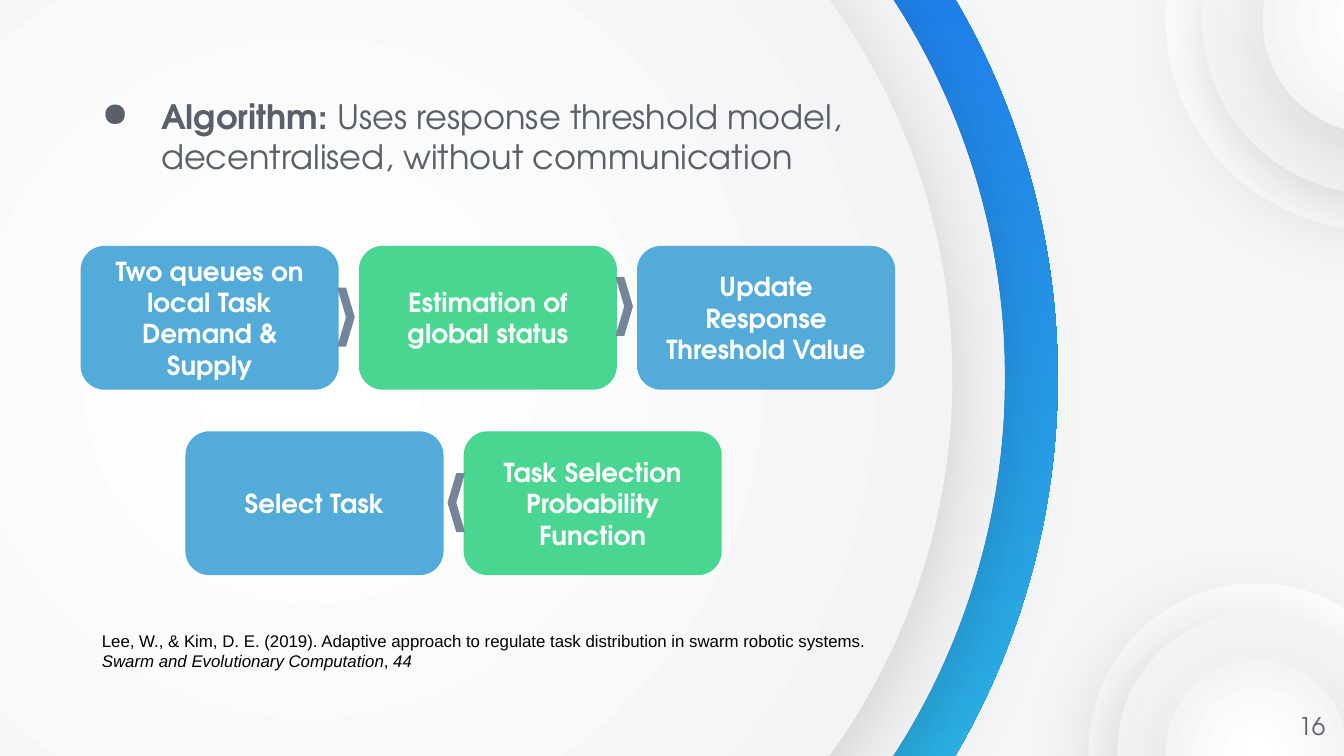
"""Builds the slide on the response threshold algorithm for task selection."""
from lxml import etree
from pptx import Presentation
from pptx.dml.color import RGBColor
from pptx.enum.shapes import MSO_SHAPE
from pptx.enum.text import MSO_ANCHOR, PP_ALIGN
from pptx.oxml import parse_xml
from pptx.oxml.ns import nsdecls, qn
from pptx.util import Pt

ELLIPSE, BOX, CHEVRON = MSO_SHAPE.OVAL, MSO_SHAPE.ROUNDED_RECTANGLE, MSO_SHAPE.CHEVRON
TOP, MIDDLE = MSO_ANCHOR.TOP, MSO_ANCHOR.MIDDLE
LEFT, CENTER, RIGHT = PP_ALIGN.LEFT, PP_ALIGN.CENTER, PP_ALIGN.RIGHT

PX = 9144
DISPLAY, PLAIN = "TeX Gyre Adventor", "Arial"
WHITE, BLACK, GRAY, SLATE = "FFFFFF", "000000", "595F6B", "73849B"
BLUE, GREEN, PAPER = "52ABD9", "49D691", "F5F6F8"
RADIAL = '<a:path path="circle"><a:fillToRect l="50000" t="50000" r="50000" b="50000"/></a:path>'
DIAGONAL = '<a:lin ang="2700000" scaled="0"/>'


def px(length):
    return int(length * PX)


def color(value):
    return RGBColor.from_string(value)


class SlideBuilder:
    def __init__(self, slide):
        self.slide = slide
        background = slide.background.fill
        background.solid()
        background.fore_color.rgb = color(PAPER)

    def shape(self, kind, left, top, width, height, fill, rotation=0):
        shape = self.slide.shapes.add_shape(kind, px(left), px(top), px(width), px(height))
        shape.fill.solid()
        shape.fill.fore_color.rgb = color(fill)
        shape.line.fill.background()
        shape.shadow.inherit = False
        shape.rotation = rotation
        return shape

    def disc(self, center, diameter, fill=WHITE, rotation=0):
        left, top = (middle - diameter / 2 for middle in center)
        return self.shape(ELLIPSE, left, top, diameter, diameter, fill, rotation)

    def gradient(self, shape, start, end, direction):
        properties = shape._element.spPr
        properties.replace(properties.find(qn("a:solidFill")), parse_xml(
            f'<a:gradFill {nsdecls("a")} rotWithShape="1"><a:gsLst>'
            f'<a:gs pos="0"><a:srgbClr val="{start}"/></a:gs>'
            f'<a:gs pos="100000"><a:srgbClr val="{end}"/></a:gs>'
            f'</a:gsLst>{direction}</a:gradFill>'))

    def raised_disc(self, center, diameter, shadow_angle=85):
        disc = self.disc(center, diameter)
        self.gradient(disc, WHITE, "F0F0F3", RADIAL)
        disc._element.spPr.find(qn("a:effectLst")).append(parse_xml(
            f'<a:outerShdw {nsdecls("a")} blurRad="{Pt(45)}" dist="{Pt(11.2)}" '
            f'dir="{shadow_angle * 60000}" algn="bl" rotWithShape="0">'
            f'<a:srgbClr val="{BLACK}"><a:alpha val="15000"/></a:srgbClr></a:outerShdw>'))

    def fill_text(self, shape, runs, size, ink, font=DISPLAY, align=LEFT, anchor=TOP, bold=None):
        frame = shape.text_frame
        frame.word_wrap = True
        frame.vertical_anchor = anchor
        frame.margin_left = frame.margin_right = frame.margin_top = frame.margin_bottom = px(10)
        paragraph = frame.paragraphs[0]
        paragraph.alignment = align
        paragraph.font.size = Pt(size)
        paragraph.font.name = font
        paragraph.font.bold = bold
        paragraph.font.color.rgb = color(ink)
        for words, emphasis in runs:
            run = paragraph.add_run()
            run.text = words
            run.font.bold = True if emphasis == "bold" else None
            run.font.italic = True if emphasis == "italic" else None
        return paragraph

    def text(self, left, top, width, height, runs, size, ink, **style):
        box = self.slide.shapes.add_textbox(px(left), px(top), px(width), px(height))
        return self.fill_text(box, runs, size, ink, **style)

    def bullet(self, paragraph, ink):
        properties = paragraph._p.get_or_add_pPr()
        properties.set("marL", str(px(50)))
        properties.set("indent", str(px(-44)))
        marks = (
            f'<a:buClr {nsdecls("a")}><a:srgbClr val="{ink}"/></a:buClr>',
            f'<a:buChar {nsdecls("a")} char="●"/>',
        )
        for position, mark in enumerate(marks):
            properties.insert(position, etree.fromstring(mark))

    def step(self, left, top, words, fill):
        box = self.shape(BOX, left, top, 192, 107, fill)
        box.adjustments[0] = 0.167
        self.fill_text(box, [(words, None)], 14, WHITE, align=CENTER, anchor=MIDDLE, bold=True)

    def chevron(self, left, top, rotation=0):
        self.shape(CHEVRON, left, top, 13, 44, SLATE, rotation)


def main():
    deck = Presentation()
    deck.slide_width, deck.slide_height = px(1000), px(562.5)
    builder = SlideBuilder(deck.slides.add_slide(deck.slide_layouts[6]))

    main_center, top_center, bottom_center = (230, 281), (1024, 15), (935, 559)
    arc = builder.disc(main_center, 1114, rotation=45)
    builder.gradient(arc, "1658F1", "36DBE0", DIAGONAL)
    for diameter in (1035, 957):
        builder.raised_disc(main_center, diameter)
    builder.disc(top_center, 313)
    for diameter in (259, 169):
        builder.raised_disc(top_center, diameter)
    builder.disc(bottom_center, 250)
    for diameter, shadow_angle in ((207, 158), (135, 85)):
        builder.raised_disc(bottom_center, diameter, shadow_angle)

    summary = builder.text(60, 60, 591, 83, [
        ("Algorithm: ", "bold"),
        ("Uses response threshold model, decentralised, without communication", None),
    ], 18, GRAY, anchor=MIDDLE)
    builder.bullet(summary, GRAY)

    step_rows = (
        (60, 183, (("Two queues on local Task Demand & Supply", BLUE),
                   ("Estimation of global status", GREEN),
                   ("Update Response Threshold Value", BLUE))),
        (138, 321, (("Select Task", BLUE),
                    ("Task Selection Probability Function", GREEN))),
    )
    for left, top, steps in step_rows:
        for column, (words, fill) in enumerate(steps):
            builder.step(left + column * 207, top, words, fill)
    for left, top, rotation in ((251, 214, 0), (458, 206, 0), (333, 352, 180)):
        builder.chevron(left, top, rotation)

    builder.text(936, 519, 60, 43, [("16", None)], 13, GRAY, align=RIGHT)
    builder.text(66, 459, 614, 50, [
        ("Lee, W., & Kim, D. E. (2019). Adaptive approach to regulate task distribution "
         "in swarm robotic systems. ", None),
        ("Swarm and Evolutionary Computation", "italic"),
        (", ", None),
        ("44", "italic"),
    ], 9, BLACK, font=PLAIN)
    deck.save("out.pptx")


if __name__ == "__main__":
    main()
